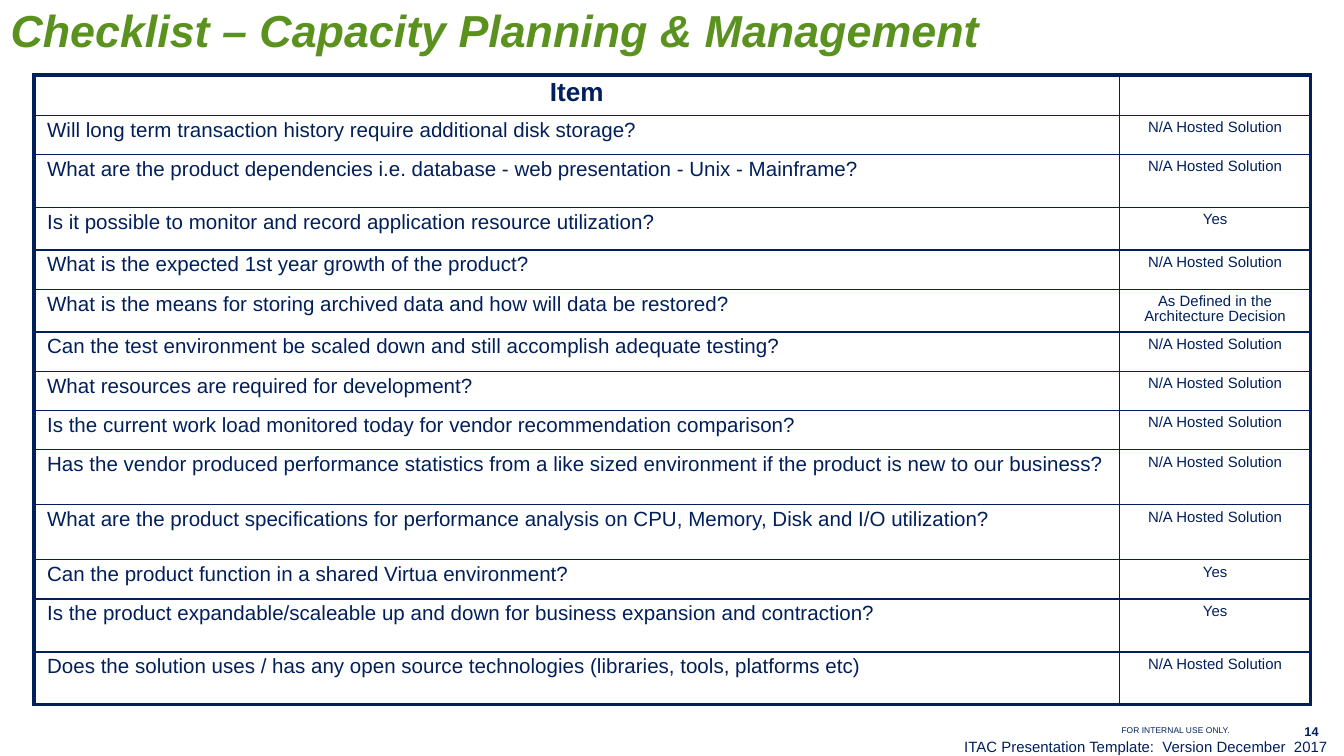
from lxml.etree import SubElement as Sub
from pptx import Presentation as Deck
from pptx.dml.color import RGBColor as RGB
from pptx.enum.text import PP_ALIGN as Al
from pptx.oxml.ns import qn
from pptx.util import Cm, Pt

NAVY = RGB(0x00, 0x1F, 0x5B)
GREEN = RGB(0x5B, 0x92, 0x1F)
WHITE = RGB(0xFF, 0xFF, 0xFF)
THIN, THICK = 1, 2.25
HOST = "N/A Hosted Solution"
HEAD = 0.76
COLS = [20.52, 3.61]

ITEMS = [
    ("Will long term transaction history require additional disk storage?", HOST, 0.74),
    ("What are the product dependencies i.e. database - web presentation - Unix - Mainframe?", HOST, 1),
    ("Is it possible to monitor and record application resource utilization?", "Yes", 0.81),
    ("What is the expected 1st year growth of the product?", HOST, 0.74),
    ("What is the means for storing archived data and how will data be restored?",
     "As Defined in the Architecture Decision", 0.74),
    ("Can the test environment be scaled down and still accomplish adequate testing?", HOST, 0.74),
    ("What resources are required for development?", HOST, 0.74),
    ("Is the current work load monitored today for vendor recommendation comparison?", HOST, 0.74),
    ("Has the vendor produced performance statistics from a like sized environment "
     "if the product is new to our business?", HOST, 1.04),
    ("What are the product specifications for performance analysis on CPU, Memory, "
     "Disk and I/O utilization?", HOST, 1.04),
    ("Can the product function in a shared Virtua environment?", "Yes", 0.74),
    ("Is the product expandable/scaleable up and down for business expansion and contraction?", "Yes", 1),
    ("Does the solution uses / has any open source technologies (libraries, tools, platforms etc)", HOST, 1),
]


class Page:
    face = "Arial"

    def __init__(self, deck):
        self.slide = deck.slides.add_slide(deck.slide_layouts[6])

    def style(self, para, text, size, color=NAVY, bold=False, slant=False, align=Al.LEFT):
        para.text = text
        para.alignment = align
        font = para.font
        font.name, font.size = self.face, Pt(size)
        font.bold, font.italic = bold, slant
        font.color.rgb = color

    def label(self, box, text, size, pad=(0.25, 0.13), **look):
        frame = self.slide.shapes.add_textbox(*map(Cm, box)).text_frame
        frame.word_wrap = True
        frame.margin_left = frame.margin_right = Cm(pad[0])
        frame.margin_top = frame.margin_bottom = Cm(pad[1])
        self.style(frame.paragraphs[0], text, size, **look)

    def edge(self, cell, side, width):
        line = Sub(cell._tc.get_or_add_tcPr(), qn(f"a:ln{side}"), w=str(Pt(width)))
        fill = Sub(line, qn("a:solidFill"))
        Sub(fill, qn("a:srgbClr"), val=str(NAVY))

    def cell(self, cell, text, size, edges, **look):
        cell.margin_left = cell.margin_right = Cm(0.25)
        cell.margin_top = cell.margin_bottom = Cm(0.1)
        para = cell.text_frame.paragraphs[0]
        self.style(para, text, size, **look)
        para.line_spacing = 0.9
        if not text:
            Sub(para._p, qn("a:endParaRPr"), sz=str(size * 100))
        for side, width in edges.items():
            self.edge(cell, side, width)
        cell.fill.solid()
        cell.fill.fore_color.rgb = WHITE

    def table(self, left, top, cols, head, items):
        rows = [("Item", "", head)] + items
        last = len(rows) - 1
        high = sum(row[2] for row in rows)
        grid = self.slide.shapes.add_table(
            len(rows), len(cols), Cm(left), Cm(top), Cm(sum(cols)), Cm(high)).table
        grid.first_row = grid.horz_banding = False
        for col, width in zip(grid.columns, cols):
            col.width = Cm(width)
        for i, (ask, reply, tall) in enumerate(rows):
            grid.rows[i].height = Cm(tall)
            for j, text in enumerate((ask, reply)):
                edges = {
                    "L": THIN if j else THICK,
                    "R": THICK if j else THIN,
                    "T": THIN if i else THICK,
                    "B": THICK if i == last else THIN,
                }
                size = 8 if j else 11 if i else 14
                align = Al.LEFT if i and not j else Al.CENTER
                self.cell(grid.cell(i, j), text, size, edges, bold=i == 0, align=align)


def main():
    deck = Deck()
    deck.slide_width, deck.slide_height = Cm(25.4), Cm(14.29)
    page = Page(deck)
    page.label((23.7, 13.56, 1.47, 0.53), "14", 6.8, bold=True, align=Al.RIGHT)
    page.label((13.13, 13.61, 10.36, 0.46), "FOR INTERNAL USE ONLY.", 4.5, align=Al.RIGHT)
    page.label((0.2, 0.06, 19.58, 1.46), "Checklist – Capacity Planning & Management", 24,
               pad=(0, 0), color=GREEN, bold=True, slant=True)
    page.table(0.64, 1.42, COLS, HEAD, ITEMS)
    page.label((17.48, 13.82, 7.87, 0.61),
               "ITAC Presentation Template:  Version December  2017", 8, align=Al.RIGHT)
    deck.save("out.pptx")


if __name__ == "__main__":
    main()
